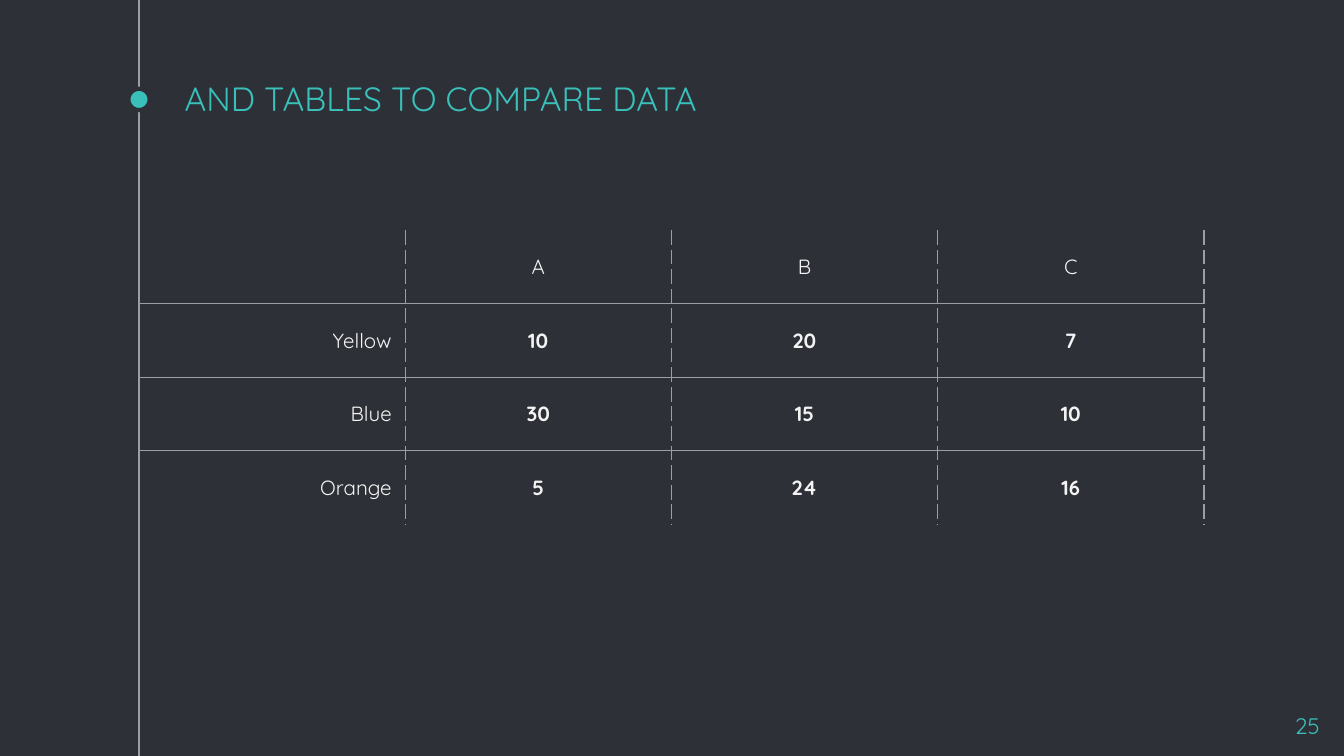
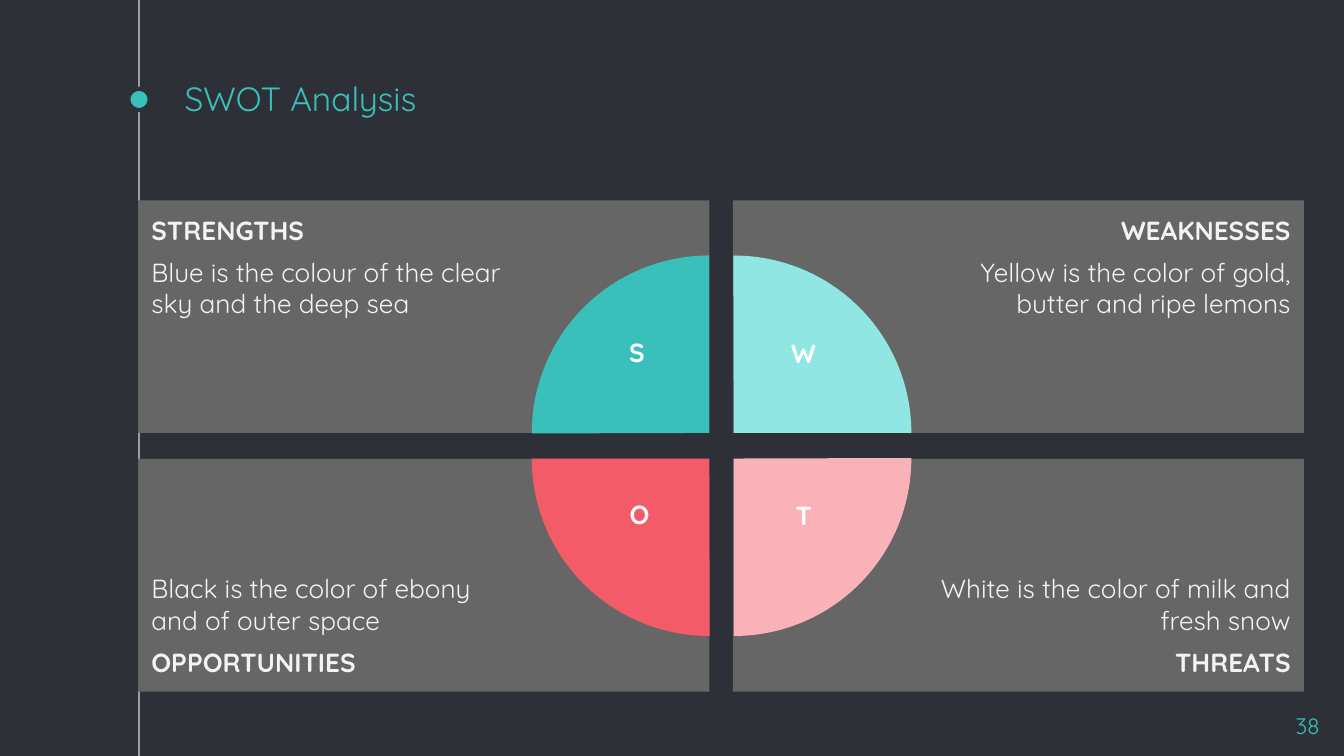
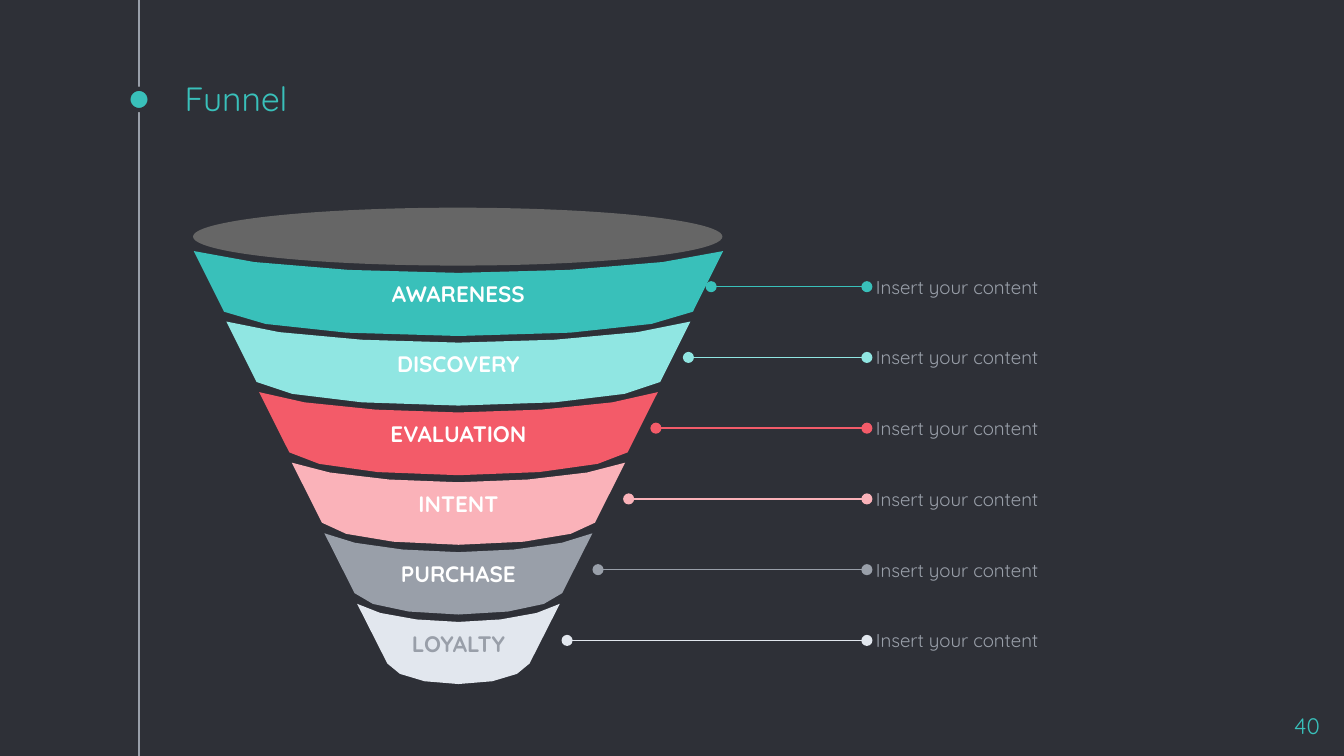
from lxml import etree
from pptx import Presentation
from pptx import util as u
from pptx.dml.color import RGBColor
from pptx.enum import shapes, text
from pptx.oxml import ns

# Shared look
FONT = "Quicksand"
DARK, TEAL, AQUA, RED, PINK = "2E3037", "39C0BA", "90E6E2", "F35B69", "FAB2B9"
GREY, PANEL, PALE, LIGHT, WHITE = "999FA9", "666666", "E2E7EE", "F3F3F3", "FFFFFF"
PAGE_W, PAGE_H = 720, 405
RAIL_X = 74.4
LEFT, CENTER, RIGHT = text.PP_ALIGN.LEFT, text.PP_ALIGN.CENTER, text.PP_ALIGN.RIGHT
TOP, MIDDLE, BOTTOM = text.MSO_ANCHOR.TOP, text.MSO_ANCHOR.MIDDLE, text.MSO_ANCHOR.BOTTOM
SHAPE = shapes.MSO_SHAPE

# Content
COMPARISON = [
    ["", "A", "B", "C"],
    ["Yellow", "10", "20", "7"],
    ["Blue", "30", "15", "10"],
    ["Orange", "5", "24", "16"],
]

# heading, body, letter, letter box width, letter centre, colour, column, row, turn
SWOT = [
    ("STRENGTHS", "Blue is the colour of the clear sky and the deep sea",
     "S", 25.2, 341.2, TEAL, 0, 0, 0),
    ("WEAKNESSES", "Yellow is the color of gold, butter and ripe lemons",
     "W", 44.6, 430.4, AQUA, 1, 0, 90),
    ("OPPORTUNITIES", "Black is the color of ebony and of outer space",
     "O", 33.1, 342.6, RED, 0, 1, 270),
    ("THREATS", "White is the color of milk and fresh snow",
     "T", 27.4, 430.6, PINK, 1, 1, 180),
]

# stage, band colour, label colour, start of its leader line
FUNNEL = [
    ("AWARENESS", TEAL, WHITE, 381),
    ("DISCOVERY", AQUA, WHITE, 368.8),
    ("EVALUATION", RED, WHITE, 351.4),
    ("INTENT", PINK, WHITE, 336.8),
    ("PURCHASE", GREY, WHITE, 320.4),
    ("LOYALTY", PALE, GREY, 303.8),
]
FUNNEL_NOTE = "Insert your content"


# Helpers
def color(code):
    return RGBColor.from_string(code)


def points(*values):
    return [u.Pt(value) for value in values]


def paint(shape, fill, line=None, width=0):
    shape.shadow.inherit = False
    shape.fill.solid()
    shape.fill.fore_color.rgb = color(fill)
    if line:
        shape.line.color.rgb = color(line)
        shape.line.width = u.Pt(width)
    else:
        shape.line.fill.background()


def add_preset(page, kind, box, fill, line=None, width=0):
    shape = page.shapes.add_shape(kind, *points(*box))
    paint(shape, fill, line, width)
    return shape


def style(para, size, ink, align=LEFT, bold=False):
    para.alignment = align
    para.font.name, para.font.size, para.font.bold = FONT, u.Pt(size), bold
    para.font.color.rgb = color(ink)


def set_frame(shape, insets, anchor=TOP):
    frame = shape.text_frame
    frame.word_wrap = True
    frame.auto_size = text.MSO_AUTO_SIZE.NONE
    frame.vertical_anchor = anchor
    (frame.margin_left, frame.margin_top,
     frame.margin_right, frame.margin_bottom) = points(*insets)
    return frame


def write(shape, words, size, ink, align=LEFT, bold=False, insets=(7.2,) * 4, anchor=TOP):
    frame = set_frame(shape, insets, anchor)
    frame.text = words
    style(frame.paragraphs[0], size, ink, align, bold)


def add_text(page, box, words, *args, **options):
    write(page.shapes.add_textbox(*points(*box)), words, *args, **options)


def add_line(page, start, end, ink, ends=None):
    line = page.shapes.add_connector(shapes.MSO_CONNECTOR.STRAIGHT, *points(*start, *end))
    line.line.color.rgb = color(ink)
    line.line.width = u.Pt(0.75)
    if ends:
        for tag in ("a:headEnd", "a:tailEnd"):
            etree.SubElement(line.line._ln, ns.qn(tag), type=ends)
    etree.SubElement(line._element.spPr, ns.qn("a:effectLst"))


def add_page(deck, title, number):
    page = deck.slides.add_slide(deck.slide_layouts[5])
    add_line(page, (RAIL_X, 0), (RAIL_X, PAGE_H), GREY)
    add_preset(page, SHAPE.OVAL, (68.8, 47.6, 11.4, 11.4), TEAL, DARK, 2.25)
    heading = page.shapes.title
    heading.left, heading.top, heading.width, heading.height = points(91.7, 43.2, 540, 27.4)
    write(heading, title, 18, TEAL, anchor=BOTTOM)
    add_text(page, (671, 374.4, 43.2, 24.5), number, 12, TEAL, RIGHT)
    return page


# Comparison table
def add_border(cell, side, dash):
    line = etree.SubElement(cell._tc.get_or_add_tcPr(), ns.qn("a:ln" + side), w="9525")
    if dash is None:
        etree.SubElement(line, ns.qn("a:noFill"))
        return
    fill = etree.SubElement(line, ns.qn("a:solidFill"))
    etree.SubElement(fill, ns.qn("a:srgbClr"), val=GREY)
    etree.SubElement(line, ns.qn("a:prstDash"), val=dash)


def build_table(deck):
    page = add_page(deck, "AND TABLES TO COMPARE DATA", "25")
    rows, columns = len(COMPARISON), len(COMPARISON[0])
    width, height = 142.65, 39.45
    table = page.shapes.add_table(rows, columns, *points(
        RAIL_X, 123.2, width * columns, height * rows)).table
    table.first_row = table.horz_banding = False
    for column in table.columns:
        column.width = u.Pt(width)
    for r, values in enumerate(COMPARISON):
        table.rows[r].height = u.Pt(height)
        for c, value in enumerate(values):
            cell = table.cell(r, c)
            cell.text = value
            cell.vertical_anchor = MIDDLE
            cell.margin_left = cell.margin_right = u.Pt(7.2)
            cell.margin_top = cell.margin_bottom = u.Pt(5)
            style(cell.text_frame.paragraphs[0], 11, LIGHT,
                  CENTER if c else RIGHT, bold=r > 0 and c > 0)
            add_border(cell, "L", "dash")
            add_border(cell, "R", "dash")
            add_border(cell, "T", "solid" if r > 0 else None)
            add_border(cell, "B", "solid" if r < rows - 1 else None)
            cell.fill.background()


# SWOT quadrants
def build_swot(deck):
    page = add_page(deck, "SWOT Analysis", "38")
    for heading, body, letter, width, middle, fill, column, row, turn in SWOT:
        panel = add_preset(page, SHAPE.RECTANGLE, (
            74 + 318.6 * column, 107.4 + 138.5 * row, 306, 124.6), PANEL)
        insets = (108, 7.2, 7.2, 7.2) if column else (7.2, 7.2, 108, 7.2)
        frame = set_frame(panel, insets, BOTTOM if row else TOP)
        lines = [(heading, True), (body, False)]
        for index, (words, bold) in enumerate(reversed(lines) if row else lines):
            para = frame.add_paragraph() if index else frame.paragraphs[0]
            para.text = words
            style(para, 14, LIGHT, RIGHT if column else LEFT, bold)
            if index:
                para.space_before = para.space_after = u.Pt(6)

        quarter = add_preset(page, SHAPE.PIE, (
            284.9 + 13.2 * column, 136.9 + 13.7 * row, 190.1, 190.1), fill)
        quarter.adjustments[0], quarter.adjustments[1] = 107.89, 162
        quarter.rotation = turn
        add_text(page, (middle - width / 2, 176.5 + 87 * row + 0.7 * column, width, 35),
                 letter, 14, WHITE, CENTER, True, insets=(7.2, 3.6, 7.2, 3.6))


# Funnel
def sag(center, half, edge, bottom, near, far, steps=3):
    """Points of a hanging curve from its left end to its right end."""
    depth = bottom - edge
    left = []
    for step in range(steps + 1):
        t = step / steps
        a, b, c, d = (1 - t) ** 3, 3 * t * (1 - t) ** 2, 3 * t * t * (1 - t), t ** 3
        x = half * (a + b * (1 - near) + c * (1 - far))
        left.append((x, edge + depth * (b * 0.55 + c + d)))
    return ([(center - x, y) for x, y in left]
            + [(center + x, y) for x, y in reversed(left[:-1])])


def build_funnel(deck):
    page = add_page(deck, "Funnel", "40")
    center, rim = 245.6, 141.8
    for i, (stage, fill, ink, start) in enumerate(FUNNEL):
        upper = sag(center, rim - 17.5 * i, 134.5 + 37.8 * i, 146.2 + 37.4 * i, 0.14, 0.58)
        lower = sag(center, 125.6 - 17.5 * i, 167 + 37.7 * i, 180 + 37.3 * i, 0.08, 0.47)
        outline = [points(*point) for point in upper + lower[::-1]]
        builder = page.shapes.build_freeform(*outline[0])
        builder.add_line_segments(outline[1:], close=True)
        band = builder.convert_to_shape()
        paint(band, fill)
        write(band, stage, 12, ink, CENTER, True, insets=(5, 3, 5, 3), anchor=MIDDLE)

        y = 153.6 + 37.9 * i
        add_line(page, (start, y), (464.4, y), fill, ends="oval")
        add_text(page, (469.3, y - 13.7, 110.2, 27.4), FUNNEL_NOTE, 10, GREY,
                 insets=(0,) * 4, anchor=MIDDLE)
    add_preset(page, SHAPE.OVAL, (103.4, 111.3, 2 * rim, 31), PANEL)


def main():
    deck = Presentation()
    deck.slide_width, deck.slide_height = points(PAGE_W, PAGE_H)
    background = deck.slide_master.background.fill
    background.solid()
    background.fore_color.rgb = color(DARK)
    build_table(deck)
    build_swot(deck)
    build_funnel(deck)
    deck.save("out.pptx")


if __name__ == "__main__":
    main()
